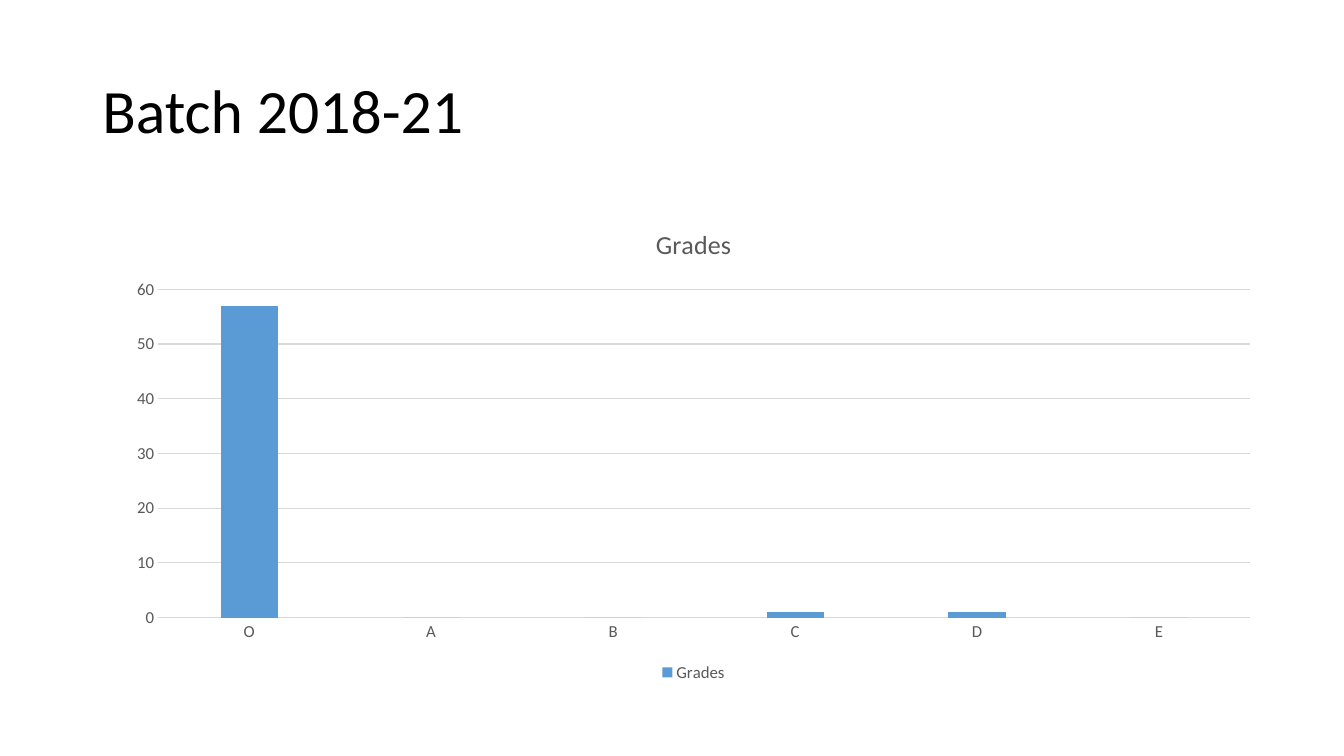
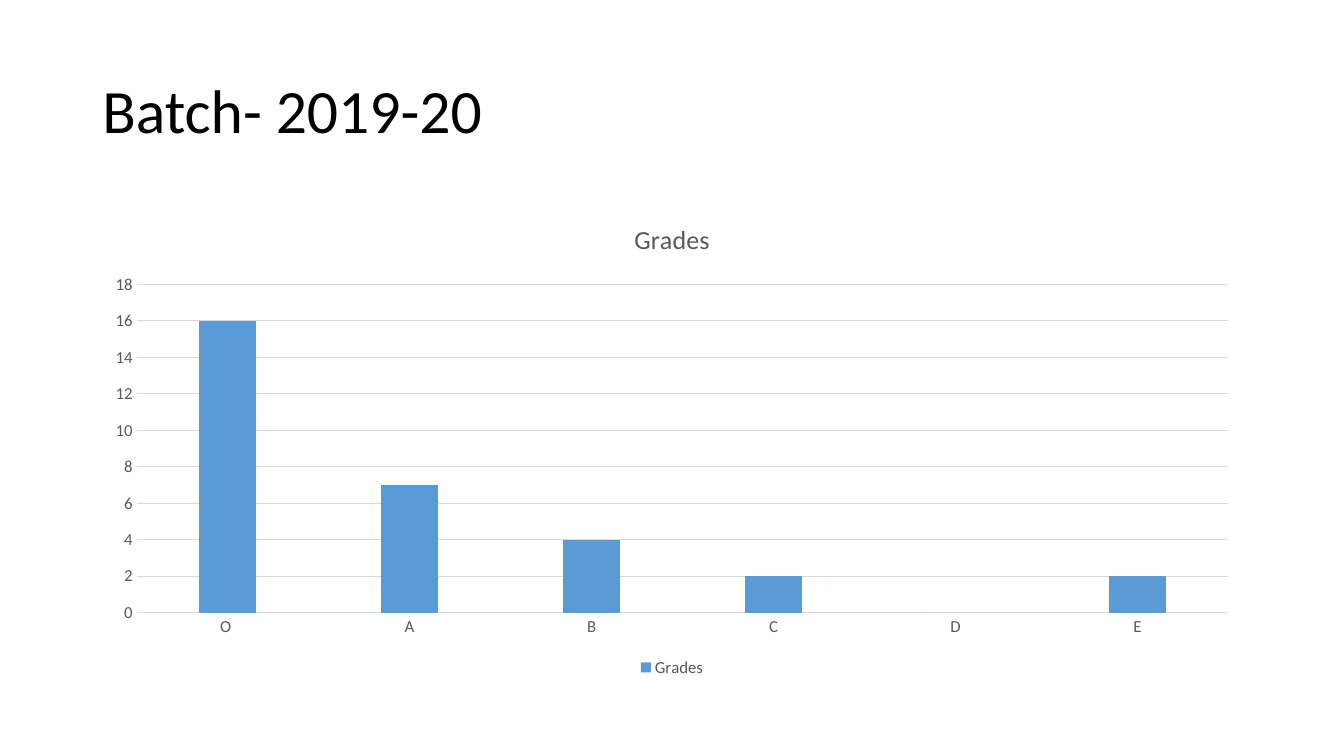
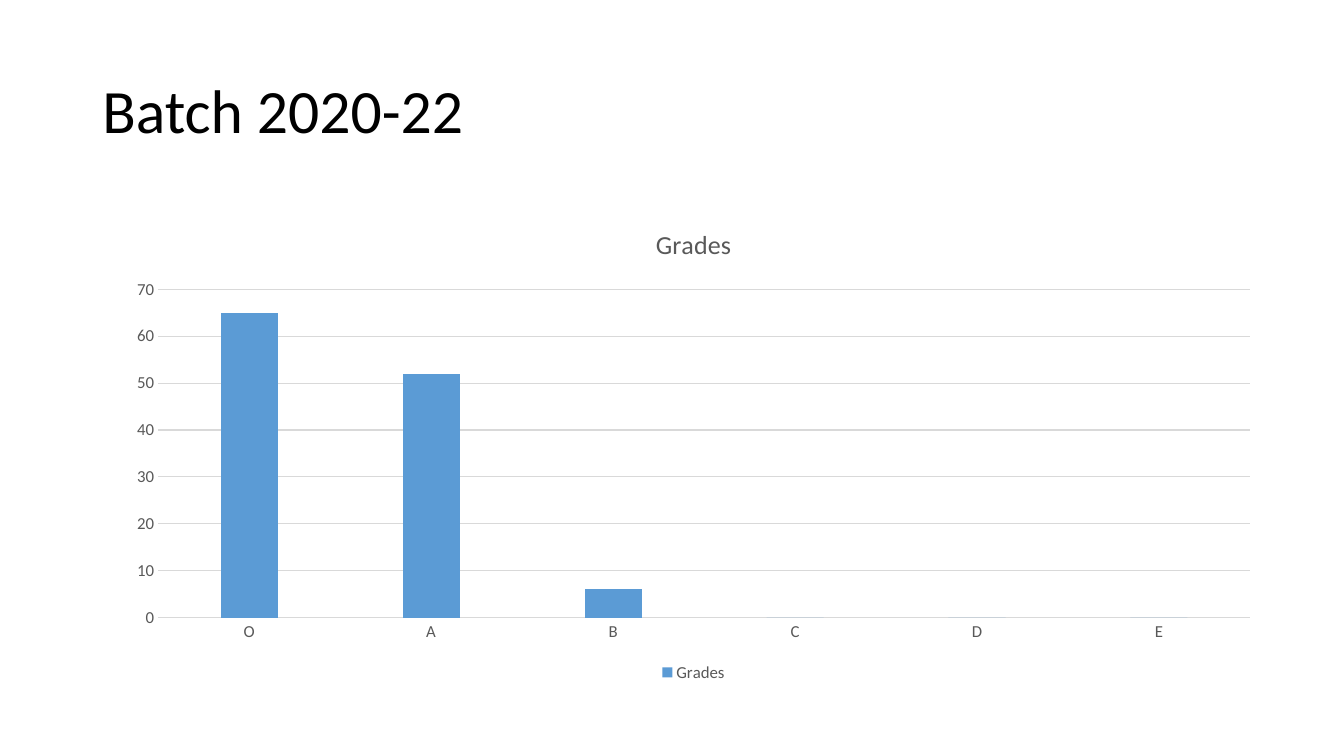
from pptx import Presentation
from pptx.chart.data import CategoryChartData
from pptx.dml.color import RGBColor
from pptx.enum.chart import XL_CHART_TYPE as ChartType
from pptx.enum.chart import XL_LEGEND_POSITION as LegendPosition
from pptx.enum.chart import XL_TICK_MARK as TickMark
from pptx.enum.text import MSO_ANCHOR as Anchor
from pptx.util import Inches, Pt

COLORS = {"title": "000000", "label": "595959", "grid": "D9D9D9", "bar": "5B9BD5"}
FONT = "Calibri"
SLIDE_WIDTH, SLIDE_HEIGHT = Inches(13.33), Inches(7.5)
CONTENT_WIDTH = 86.25
LEFT_MARGIN = 6.88
TITLE_AREA = (LEFT_MARGIN, 5.33, CONTENT_WIDTH, 19.33)
CHART_HEIGHT = 63.47
CENTERED_CHART = (LEFT_MARGIN, 26.67, CONTENT_WIDTH, CHART_HEIGHT)
SHIFTED_CHART = (8.48, 27.33, CONTENT_WIDTH, CHART_HEIGHT)
BATCHES = [
    ("Batch 2018-21", SHIFTED_CHART, ["O", "A", "B", "C", "D", "E"], [57, 0, 0, 1, 1, 0]),
    ("Batch- 2019-20", CENTERED_CHART, ["O ", "A", "B", "C", "D", "E"], [16, 7, 4, 2, 0, 2]),
    ("Batch 2020-22", SHIFTED_CHART, ["O", "A", "B", "C", "D", "E"], [65, 52, 6, 0, 0, 0]),
]


def percent_area(left, top, width, height):
    return (
        int(SLIDE_WIDTH * left / 100),
        int(SLIDE_HEIGHT * top / 100),
        int(SLIDE_WIDTH * width / 100),
        int(SLIDE_HEIGHT * height / 100),
    )


def color(name):
    return RGBColor.from_string(COLORS[name])


def style_font(font, size, color_name):
    font.name = FONT
    font.size = Pt(size)
    font.bold = False
    font.color.rgb = color(color_name)


def style_line(line):
    line.color.rgb = color("grid")
    line.width = Pt(0.75)


def add_title(page, text):
    box = page.shapes.add_textbox(*percent_area(*TITLE_AREA))
    frame = box.text_frame
    frame.word_wrap = True
    frame.vertical_anchor = Anchor.MIDDLE
    frame.text = text
    para = frame.paragraphs[0]
    para.line_spacing = 0.9
    style_font(para.runs[0].font, 44, "title")


def style_axis(axis):
    axis.major_tick_mark = TickMark.NONE
    axis.minor_tick_mark = TickMark.NONE
    style_font(axis.tick_labels.font, 12, "label")


def style_axes(chart):
    style_axis(chart.category_axis)
    style_line(chart.category_axis.format.line)
    style_axis(chart.value_axis)
    chart.value_axis.format.line.fill.background()
    chart.value_axis.has_major_gridlines = True
    style_line(chart.value_axis.major_gridlines.format.line)


def style_heading(chart):
    chart.has_title = True
    frame = chart.chart_title.text_frame
    frame.text = "Grades"
    style_font(frame.paragraphs[0].runs[0].font, 18.6, "label")
    chart.chart_title.include_in_layout = False


def style_legend(chart):
    chart.has_legend = True
    chart.legend.position = LegendPosition.BOTTOM
    chart.legend.include_in_layout = False
    style_font(chart.legend.font, 12, "label")


def style_bars(chart):
    plot = chart.plots[0]
    plot.vary_by_categories = False
    plot.gap_width = 219
    plot.overlap = -27
    fill = plot.series[0].format.fill
    fill.solid()
    fill.fore_color.rgb = color("bar")


def add_grade_chart(page, area, grades, counts):
    data = CategoryChartData()
    data.categories = grades
    data.add_series("Grades", counts)
    frame = page.shapes.add_chart(ChartType.COLUMN_CLUSTERED, *percent_area(*area), data)
    chart = frame.chart
    style_font(chart.font, 10, "title")
    style_heading(chart)
    style_axes(chart)
    style_legend(chart)
    style_bars(chart)


def main():
    deck = Presentation()
    deck.slide_width, deck.slide_height = SLIDE_WIDTH, SLIDE_HEIGHT
    for title, area, grades, counts in BATCHES:
        page = deck.slides.add_slide(deck.slide_layouts[6])
        add_title(page, title)
        add_grade_chart(page, area, grades, counts)
    deck.save("out.pptx")


main()
